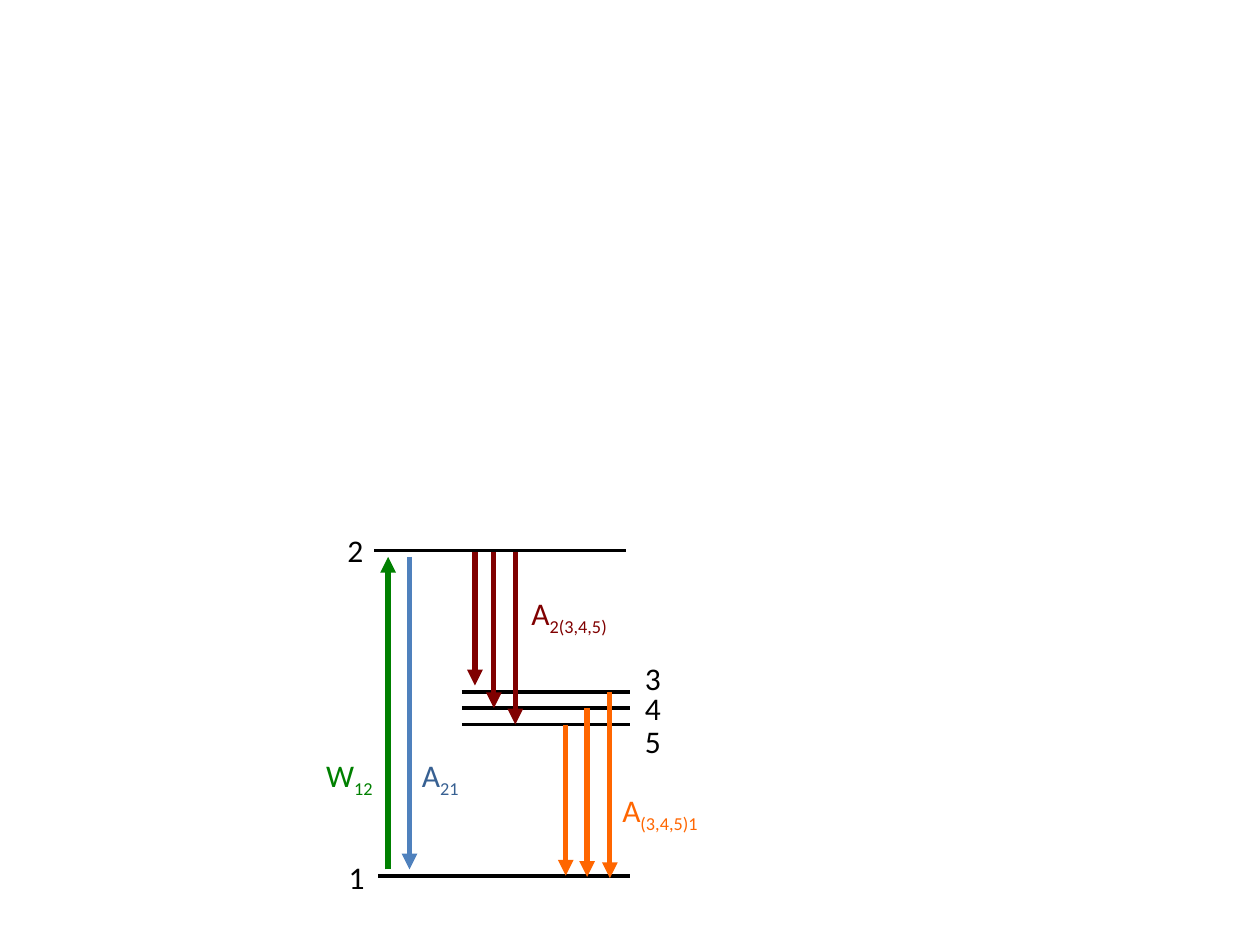
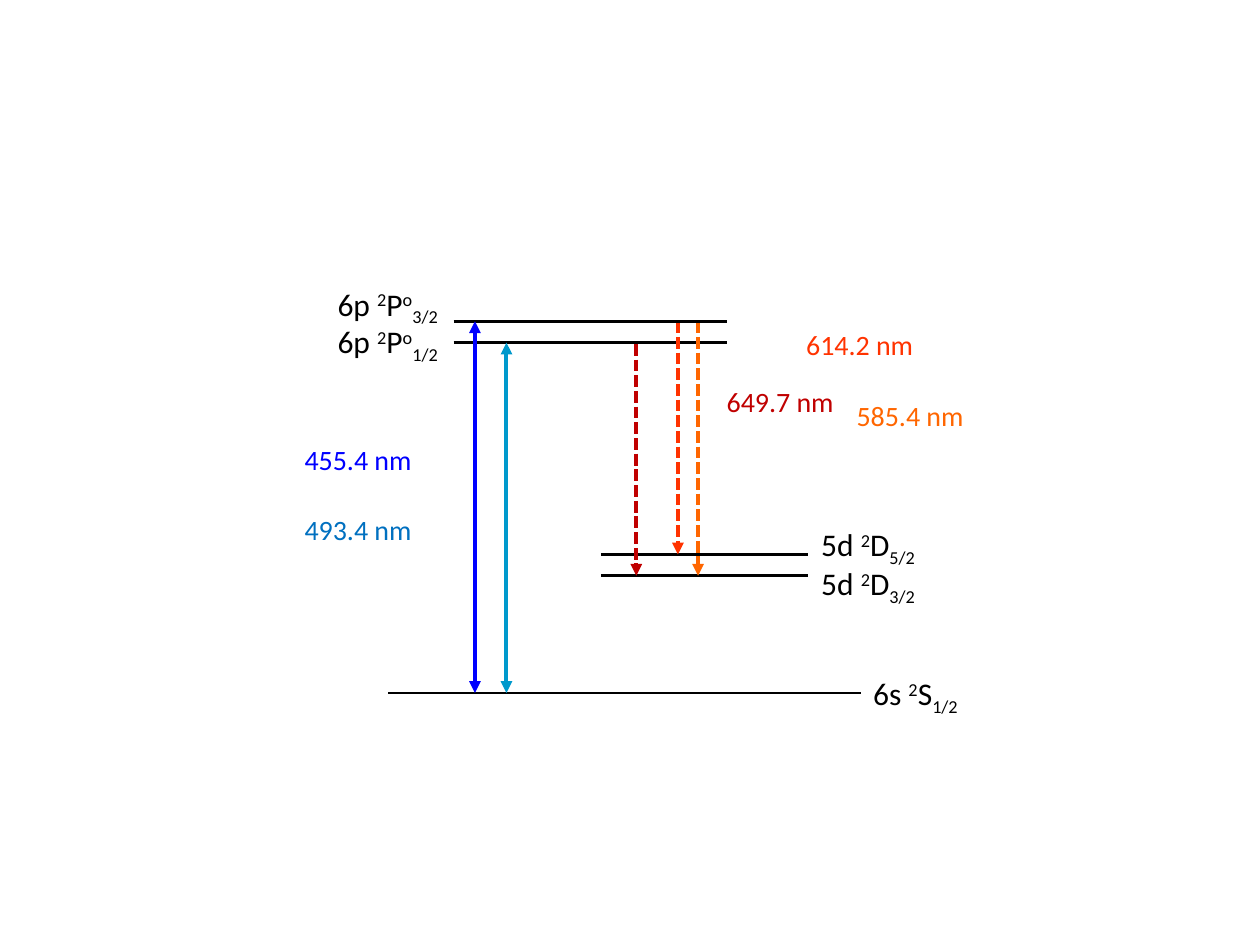
"""Draw two energy-level diagrams with their optical transitions."""
from dataclasses import dataclass

from lxml import etree
from pptx import Presentation
from pptx.dml.color import RGBColor
from pptx.enum import dml, shapes, text
from pptx.oxml import ns
from pptx.slide import Slide
from pptx.util import Pt

BLACK = RGBColor(0x00, 0x00, 0x00)
WHITE = RGBColor(0xFF, 0xFF, 0xFF)
MAROON = RGBColor(0x80, 0x00, 0x00)
GREEN = RGBColor(0x00, 0x80, 0x00)
STEEL = RGBColor(0x4F, 0x81, 0xBD)
NAVY = RGBColor(0x37, 0x60, 0x92)
ORANGE = RGBColor(0xFF, 0x66, 0x00)
CRIMSON = RGBColor(0xC0, 0x00, 0x00)
SCARLET = RGBColor(0xFF, 0x33, 0x00)
TEAL = RGBColor(0x00, 0x99, 0xCC)
AZURE = RGBColor(0x00, 0x70, 0xC0)
BLUE = RGBColor(0x00, 0x00, 0xFF)

FONT = "Calibri"
SUPER, NORMAL, SUB = 30000, 0, -25000

Spans = list[tuple[str, int]]


@dataclass(frozen=True)
class Level:
    left: float
    right: float
    y: float
    weight: float


@dataclass(frozen=True)
class Transition:
    x: float
    start: float
    end: float
    color: RGBColor
    weight: float
    dashed: bool = False
    both_ways: bool = False


@dataclass(frozen=True)
class Label:
    left: float
    top: float
    width: float
    spans: Spans
    color: RGBColor = BLACK
    size: float = 18
    filled: bool = False


def draw_line(page: Slide, start: tuple[float, float], end: tuple[float, float],
              color: RGBColor, weight: float, dashed: bool = False,
              arrowheads: tuple[str, ...] = ()) -> None:
    line = page.shapes.add_connector(
        shapes.MSO_CONNECTOR.STRAIGHT, *map(Pt, start + end))
    line.line.color.rgb = color
    line.line.width = Pt(weight)
    if dashed:
        line.line.dash_style = dml.MSO_LINE.SQUARE_DOT
    properties = line.element.spPr
    outline = properties.find(ns.qn("a:ln"))
    for arrowhead in arrowheads:
        etree.SubElement(outline, ns.qn(arrowhead), type="triangle")
    etree.SubElement(properties, ns.qn("a:effectLst"))


def draw_level(page: Slide, level: Level) -> None:
    draw_line(page, (level.left, level.y), (level.right, level.y), BLACK, level.weight)


def draw_transition(page: Slide, move: Transition) -> None:
    arrowheads = ("a:headEnd", "a:tailEnd") if move.both_ways else ("a:tailEnd",)
    draw_line(page, (move.x, move.start), (move.x, move.end), move.color,
              move.weight, move.dashed, arrowheads)


def draw_label(page: Slide, label: Label) -> None:
    frame = [Pt(n) for n in (label.left, label.top, label.width, label.size * 1.2 + 7.2)]
    if label.filled:
        box = page.shapes.add_shape(shapes.MSO_SHAPE.RECTANGLE, *frame)
        box.shadow.inherit = False
        box.fill.solid()
        box.fill.fore_color.rgb = WHITE
        box.line.fill.background()
    else:
        box = page.shapes.add_textbox(*frame)
    box.text_frame.word_wrap = False
    box.text_frame.auto_size = text.MSO_AUTO_SIZE.SHAPE_TO_FIT_TEXT
    box.text_frame.vertical_anchor = text.MSO_ANCHOR.TOP
    para = box.text_frame.paragraphs[0]
    para.alignment = text.PP_ALIGN.LEFT
    para.font.name = FONT
    para.font.size = Pt(label.size)
    para.font.color.rgb = label.color
    for words, baseline in label.spans:
        span = para.add_run()
        span.text = words
        if baseline != NORMAL:
            span._r.get_or_add_rPr().set("baseline", str(baseline))


def draw_page(page: Slide, items: list[Level | Transition | Label]) -> None:
    painters = {Level: draw_level, Transition: draw_transition, Label: draw_label}
    for item in items:
        painters[type(item)](page, item)


def rate(letter: str, indices: str) -> Spans:
    return [(letter, NORMAL), (indices, SUB)]


def term(orbital: str, letter: str, momentum: str, odd: bool = False) -> Spans:
    parity = [("o", SUPER)] if odd else []
    return [(orbital + " ", NORMAL), ("2", SUPER), (letter, NORMAL), *parity,
            (momentum, SUB)]


def rate_diagram() -> list[Level | Transition | Label]:
    top, ground = 314.6, 500.4
    middle = [395.3 + 9.35 * step for step in range(3)]
    decays = zip((271.4, 282.2, 294.5), (391.7, middle[1], middle[2]))
    returns = zip((348.5, 335.5, 323.3), middle, (501.8, 501.1, ground))
    numbers = [("1", 192.2, 486.7), ("2", 191.5, 300.2), ("3", 361.4, 373),
               ("4", 361.4, 390.2), ("5", 361.4, 409)]
    return [
        *(Level(264, 360, y, 2.25) for y in middle),
        Level(216, 360, ground, 2.25),
        Transition(221.8, 496.8, 318.2, GREEN, 3),
        Transition(234, 318.2, 496.8, STEEL, 3),
        *(Transition(x, top, end, MAROON, 3) for x, end in decays),
        *(Transition(x, start, end, ORANGE, 3) for x, start, end in returns),
        Level(213.8, 357.8, top, 2.25),
        *(Label(left, y, 23.8, [(number, NORMAL)]) for number, left, y in numbers),
        Label(348.5, 448.6, 63.4, rate("A", "(3,4,5)1"), ORANGE),
        Label(296.6, 336.2, 63.4, rate("A", "2(3,4,5)"), MAROON),
        Label(234, 428.4, 37.4, rate("A", "21"), NAVY),
        Label(179.3, 428.4, 43.2, rate("W", "12"), GREEN),
    ]


def spectrum_diagram() -> list[Level | Transition | Label]:
    p_upper, p_lower, d_upper, d_lower, ground = 183.6, 195.8, 316.8, 329, 396
    wavelengths = [
        ("455.4 nm", 167, 249.1, BLUE), ("493.4 nm", 167, 289.4, AZURE),
        ("649.7 nm", 408.2, 216, CRIMSON), ("614.2 nm", 453.6, 183.6, SCARLET),
        ("585.4 nm", 482.4, 223.9, ORANGE)]
    return [
        Level(221.8, 491.8, ground, 1.5),
        *(Level(343.4, 461.5, y, 1.5) for y in (d_upper, d_lower)),
        Level(259.2, 415.4, p_lower, 1.5),
        Transition(363.6, p_lower + 0.8, d_lower, CRIMSON, 2.25, dashed=True),
        Transition(387.4, p_upper, d_upper, SCARLET, 2.25, dashed=True),
        Transition(289.4, ground, p_lower, TEAL, 2.25, both_ways=True),
        Transition(398.9, p_upper, d_lower, ORANGE, 2.25, dashed=True),
        Level(259.2, 415.4, p_upper, 1.5),
        Transition(271.4, ground, p_upper, BLUE, 2.25, both_ways=True),
        Label(185.8, 159.1, 76.3, term("6p", "P", "3/2", odd=True)),
        Label(185.8, 180.7, 76.3, term("6p", "P", "1/2", odd=True)),
        Label(462.2, 296.6, 72, term("5d", "D", "5/2")),
        Label(462.2, 319, 72, term("5d", "D", "3/2")),
        Label(491.8, 381.6, 66.2, term("6s", "S", "1/2")),
        *(Label(left, y, 76.3, [(words, NORMAL)], color, 16, filled=True)
          for words, left, y, color in wavelengths),
    ]


def main() -> None:
    deck = Presentation()
    deck.slide_width, deck.slide_height = Pt(720), Pt(540)
    blank = deck.slide_layouts.get_by_name("Blank")
    for diagram in (rate_diagram(), spectrum_diagram()):
        draw_page(deck.slides.add_slide(blank), diagram)
    deck.save("out.pptx")


main()
